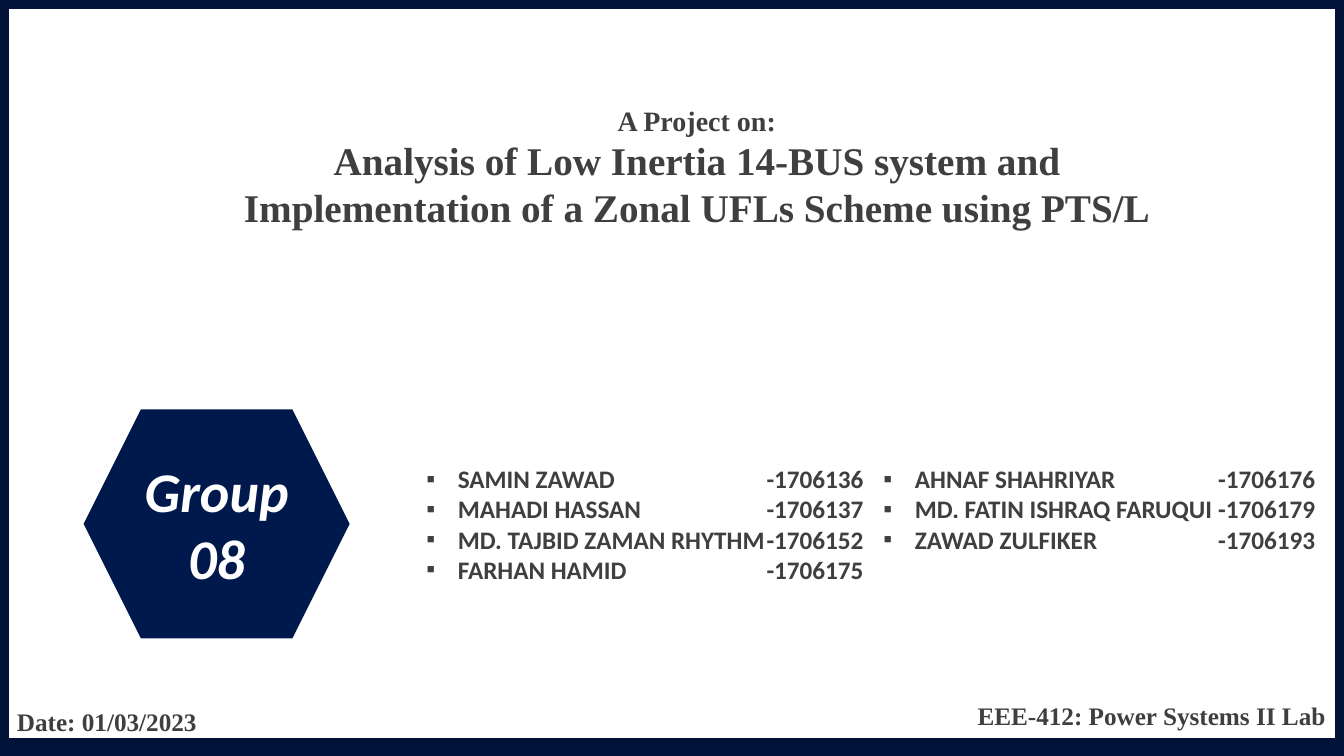
"""Build the cover slide of a power systems lab project."""
from lxml import etree
from pptx import Presentation
from pptx.dml.color import RGBColor
from pptx.enum import shapes, text
from pptx.oxml import ns
from pptx.util import Pt

COLORS = {"navy": "00194C", "frame": "001238", "gray": "3F3F3F", "white": "FFFFFF"}
SERIF, SANS = "Times New Roman", "Calibri"
ALIGN = text.PP_ALIGN


def write(frame, lines, sizes, font, color="gray", align=ALIGN.LEFT, margin=0, italic=None):
    frame.word_wrap = True
    for index, (line, size) in enumerate(zip(lines, sizes)):
        para = frame.paragraphs[0] if index == 0 else frame.add_paragraph()
        para.text = line
        para.alignment = align
        para.line_spacing = 1.0
        para._p.get_or_add_pPr().set("marL", str(Pt(margin)))
        for name, value in {"size": Pt(size), "name": font, "bold": True, "italic": italic}.items():
            setattr(para.font, name, value)
            for span in para.runs:
                setattr(span.font, name, value)
        for span in para.runs:
            span.font.color.rgb = RGBColor.from_string(COLORS[color])


def add_bullet(para, tab):
    props = para._p.get_or_add_pPr()
    props.set("indent", str(Pt(-22.5)))
    default = props.find(ns.qn("a:defRPr"))
    bullet_font = etree.Element(ns.qn("a:buFont"), typeface="Arial")
    bullet = etree.Element(ns.qn("a:buChar"), char="▪")
    tabs = etree.Element(ns.qn("a:tabLst"))
    etree.SubElement(tabs, ns.qn("a:tab"), pos=str(Pt(tab)), algn="r")
    for node in (bullet_font, bullet, tabs):
        default.addprevious(node)


deck = Presentation()
deck.slide_width, deck.slide_height = Pt(960), Pt(540)
page = deck.slides.add_slide(deck.slide_layouts[5])

title = page.shapes.title
title.left, title.top, title.width, title.height = Pt(128), Pt(70), Pt(703.5), Pt(99.5)
title.text_frame.vertical_anchor = text.MSO_ANCHOR.TOP
title.text_frame.auto_size = text.MSO_AUTO_SIZE.NONE
project = "Analysis of Low Inertia 14-BUS system and Implementation of a Zonal UFLs Scheme using PTS/L"
write(title.text_frame, ["A Project on:", project], [20, 28], SERIF, align=ALIGN.CENTER, margin=36)

badge = page.shapes.add_shape(shapes.MSO_SHAPE.HEXAGON, Pt(59.75), Pt(292.5), Pt(190), Pt(163.5))
badge.shadow.inherit = False
badge.fill.solid()
badge.fill.fore_color.rgb = RGBColor.from_string(COLORS["navy"])
badge.line.fill.background()
badge.text_frame.vertical_anchor = text.MSO_ANCHOR.MIDDLE
write(badge.text_frame, ["Group\v08"], [40], SANS, "white", ALIGN.CENTER, italic=True)

members = [
    (297.5, 314, [("SAMIN ZAWAD", 1706136), ("MAHADI HASSAN", 1706137),
                  ("MD. TAJBID ZAMAN RHYTHM", 1706152), ("FARHAN HAMID", 1706175)]),
    (624, 308.5, [("AHNAF SHAHRIYAR", 1706176), ("MD. FATIN ISHRAQ FARUQUI", 1706179),
                  ("ZAWAD ZULFIKER", 1706193)]),
]
for left, tab, people in members:
    box = page.shapes.add_textbox(Pt(left), Pt(327.5), Pt(349), Pt(94.5))
    lines = [f"{name}\t-{number}" for name, number in people]
    write(box.text_frame, lines, [18] * len(lines), SANS, margin=22.5)
    for para in box.text_frame.paragraphs:
        add_bullet(para, tab)

border = page.shapes.add_shape(shapes.MSO_SHAPE.RECTANGLE, 0, 0, Pt(960), Pt(533.5))
border.shadow.inherit = False
border.fill.background()
border.line.color.rgb = RGBColor.from_string(COLORS["frame"])
border.line.width = Pt(12.5)

footers = [
    ("EEE-412: Power Systems II Lab", 464.5, 497, 489.5, ALIGN.RIGHT),
    ("Date: 01/03/2023", -31, 501, 470, ALIGN.LEFT),
]
for words, left, top, width, align in footers:
    box = page.shapes.add_textbox(Pt(left), Pt(top), Pt(width), Pt(29))
    write(box.text_frame, [words], [18], SERIF, align=align, margin=36)

deck.save("out.pptx")
